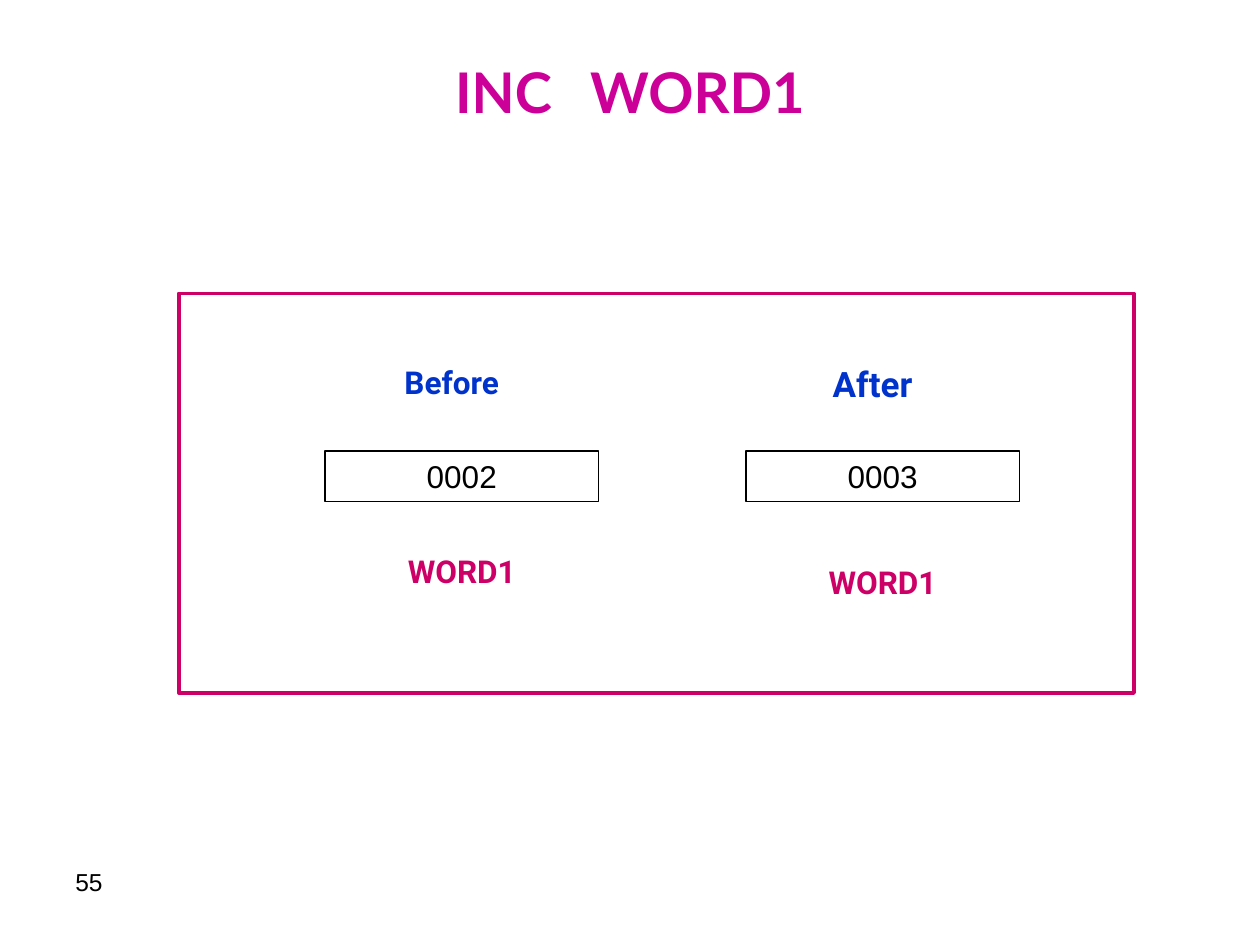
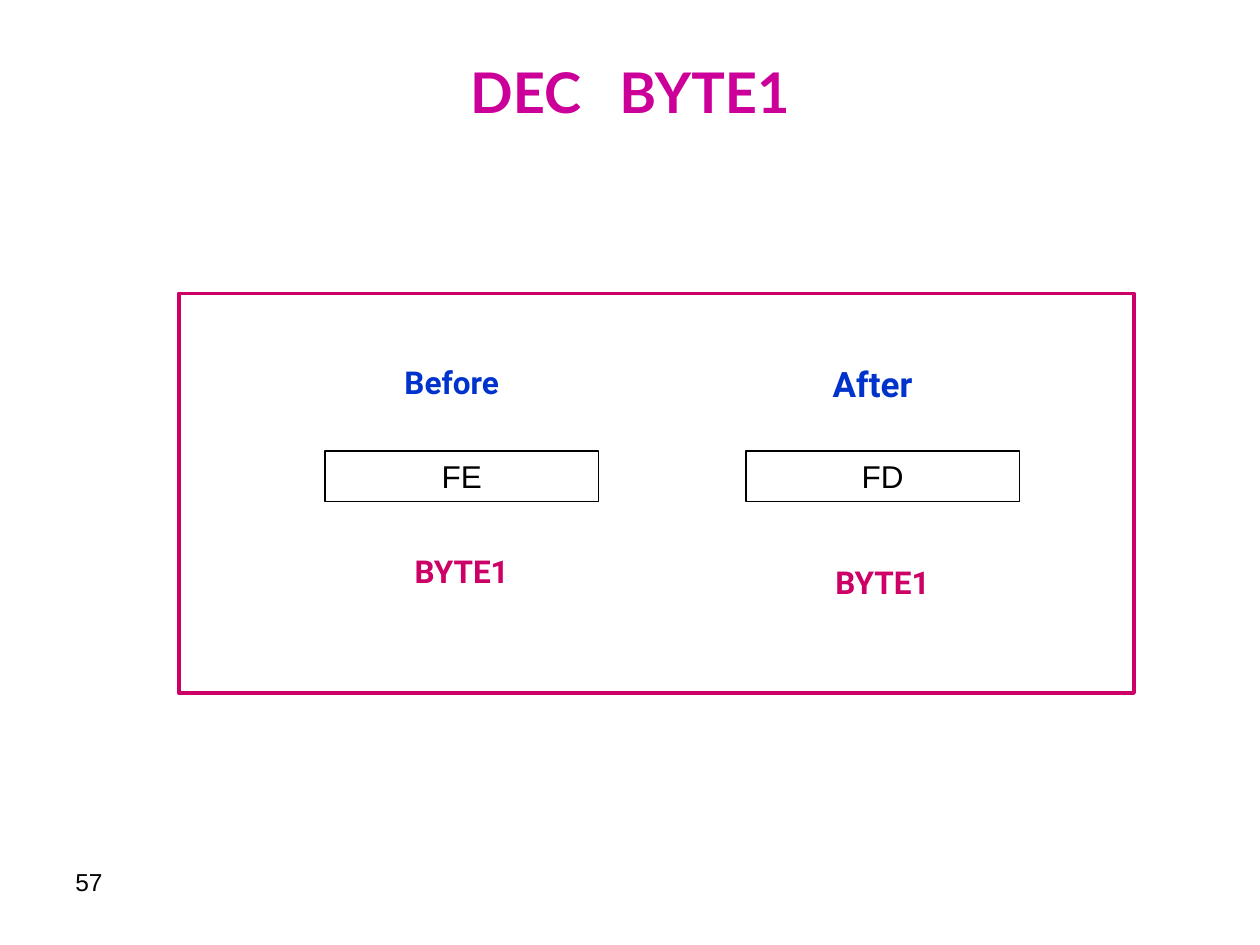
"""Build two slides showing a memory cell before and after INC and DEC."""
from dataclasses import dataclass

from pptx import Presentation
from pptx.dml.color import RGBColor
from pptx.enum.shapes import MSO_SHAPE as Shape
from pptx.enum.text import MSO_ANCHOR as Anchor, MSO_AUTO_SIZE as AutoSize, PP_ALIGN as Align
from pptx.slide import Slide
from pptx.text.text import TextFrame
from pptx.util import Inches, Pt

BLACK = RGBColor(0x00, 0x00, 0x00)
BLUE = RGBColor(0x00, 0x33, 0xCC)
CRIMSON = RGBColor(0xCC, 0x00, 0x66)
MAGENTA = RGBColor(0xCC, 0x00, 0x99)

CELL_WIDTH = 2.17
CELL_TOP = 3.58
HEADING_TOP = 2.83
HEADING_SHIFT = -0.08
TITLE_GAP = 14


@dataclass(frozen=True)
class Box:
    """Position and size in inches."""
    left: float
    top: float
    width: float
    height: float

    def lengths(self) -> tuple:
        """Return left, top, width and height as lengths."""
        return tuple(map(Inches, (self.left, self.top, self.width, self.height)))


@dataclass(frozen=True)
class Style:
    """Font settings of a run."""
    font: str
    size: int
    color: RGBColor
    bold: bool = False


@dataclass(frozen=True)
class Column:
    """One state of the memory cell."""
    heading: str
    left: float
    heading_size: int
    heading_height: float
    name_top: float


@dataclass(frozen=True)
class Example:
    """One instruction with its operand and values."""
    number: str
    instruction: str
    operand: str
    values: tuple[str, str]


TITLE = Style("Lato", 32, MAGENTA, True)
VALUE = Style("Arial", 18, BLACK)
NAME = Style("Roboto", 18, CRIMSON, True)
NUMBER = Style("Arial", 14, BLACK)

TITLE_BOX = Box(0.5, 0.3, 9, 0.85)
NUMBER_BOX = Box(0.5, 6.83, 2.33, 0.52)
FRAME_BOX = Box(1.42, 2.33, 7.58, 3.17)

COLUMNS = (
    Column("Before", 2.58, 18, 0.4, 4.33),
    Column("After", 5.92, 20, 0.44, 4.42),
)
EXAMPLES = (
    Example("55", "INC", "WORD1", ("0002", "0003")),
    Example("57", "DEC", "BYTE1", ("FE", "FD")),
)


def write(tf: TextFrame, texts: tuple[str, ...], style: Style, align: Align) -> None:
    """Write runs of one style into the first paragraph."""
    tf.word_wrap = True
    p = tf.paragraphs[0]
    p.alignment = align
    for text in texts:
        r = p.add_run()
        r.text = text
        r.font.name = style.font
        r.font.size = Pt(style.size)
        r.font.bold = style.bold
        r.font.color.rgb = style.color


def add_title(s: Slide, instruction: str, operand: str) -> None:
    """Fill the title, with a wide gap before the operand."""
    sp = s.shapes.title
    sp.left, sp.top, sp.width, sp.height = TITLE_BOX.lengths()
    tf = sp.text_frame
    tf.vertical_anchor = Anchor.MIDDLE
    write(tf, (instruction, " ", operand), TITLE, Align.CENTER)
    gap = tf.paragraphs[0].runs[1]
    gap.font._element.set("spc", str(TITLE_GAP * 100))


def add_label(s: Slide, box: Box, text: str, style: Style,
              align: Align = Align.CENTER) -> None:
    """Add a text box."""
    sp = s.shapes.add_textbox(*box.lengths())
    write(sp.text_frame, (text,), style, align)


def add_outline(s: Slide, box: Box, color: RGBColor, weight: float) -> TextFrame:
    """Add an unfilled rectangle and return its text frame."""
    sp = s.shapes.add_shape(Shape.RECTANGLE, *box.lengths())
    sp.shadow.inherit = False
    sp.fill.background()
    sp.line.color.rgb = color
    sp.line.width = Pt(weight)
    return sp.text_frame


def add_column(s: Slide, column: Column, value: str, operand: str) -> None:
    """Draw a heading, a memory cell and the name below it."""
    cell = Box(column.left, CELL_TOP, CELL_WIDTH, 0.4)
    tf = add_outline(s, cell, BLACK, 0.75)
    tf.vertical_anchor = Anchor.TOP
    tf.auto_size = AutoSize.SHAPE_TO_FIT_TEXT
    write(tf, (value,), VALUE, Align.CENTER)
    heading = Box(column.left + HEADING_SHIFT, HEADING_TOP, CELL_WIDTH, column.heading_height)
    add_label(s, heading, column.heading, Style("Roboto", column.heading_size, BLUE, True))
    add_label(s, Box(column.left, column.name_top, CELL_WIDTH, 0.4), operand, NAME)


def main() -> None:
    """Build and save the presentation."""
    prs = Presentation()
    prs.slide_width, prs.slide_height = Inches(10), Inches(7.5)
    for example in EXAMPLES:
        s = prs.slides.add_slide(prs.slide_layouts[5])
        add_label(s, NUMBER_BOX, example.number, NUMBER, Align.LEFT)
        add_title(s, example.instruction, example.operand)
        add_outline(s, FRAME_BOX, CRIMSON, 2.25)
        for column, value in zip(COLUMNS, example.values):
            add_column(s, column, value, example.operand)
    prs.save("out.pptx")


if __name__ == "__main__":
    main()
